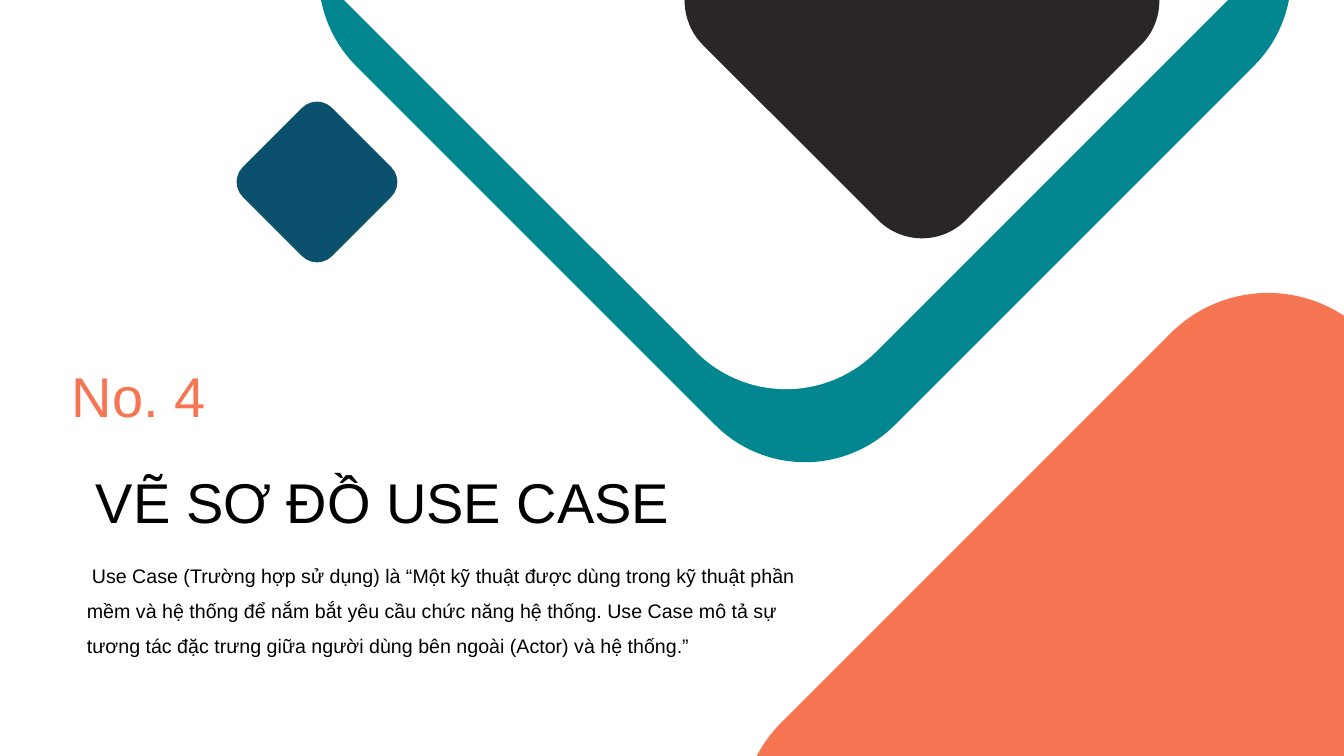
"""Build the section slide that introduces use case diagrams."""
from pptx import Presentation
from pptx import util as u
from pptx.dml.color import RGBColor
from pptx.enum import shapes, text

TEAL = RGBColor(0x02, 0x86, 0x8F)
ORANGE = RGBColor(0xF6, 0x76, 0x54)
WHITE = RGBColor(0xFF, 0xFF, 0xFF)
BLUE = RGBColor(0x0B, 0x50, 0x6C)
CHARCOAL = RGBColor(0x2A, 0x26, 0x25)
BLACK = RGBColor(0x00, 0x00, 0x00)

SLIDE_SIZE = (1344, 756)
FONT = "Arial"

# left, top, side, colour
BACK_DIAMONDS = [
    (424, -405, 762, TEAL),
    (855, 407, 826, ORANGE),
    (405, -478, 762, WHITE),
    (254, 119, 126, BLUE),
]
FRONT_DIAMONDS = [(736, -185, 372, CHARCOAL)]

# left, top, width, height, wording, points, colour, line spacing, first-line indent
TEXTS = [
    (77, 547, 740, 117,
     "Use Case (Trường hợp sử dụng) là “Một kỹ thuật được dùng trong kỹ thuật phần "
     "mềm và hệ thống để nắm bắt yêu cầu chức năng hệ thống. Use Case mô tả sự "
     "tương tác đặc trưng giữa người dùng bên ngoài (Actor) và hệ thống.”",
     14, BLACK, 1.5, 5),
    (86, 463, 598, 78, "VẼ SƠ ĐỒ USE CASE", 40, BLACK, 1.0, 0),
    (62, 357, 306, 78, "No. 4", 40, ORANGE, 1.0, 0),
]


def px(length):
    return u.Emu(round(length * 914400 / 100.8))


def add_diamond(page, left, top, side, colour):
    diamond = page.shapes.add_shape(
        shapes.MSO_SHAPE.ROUNDED_RECTANGLE, px(left), px(top), px(side), px(side))
    diamond.rotation = 45
    diamond.shadow.inherit = False
    diamond.fill.solid()
    diamond.fill.fore_color.rgb = colour
    diamond.line.fill.background()


def add_text(page, left, top, width, height, wording, points, colour, spacing, indent):
    box = page.shapes.add_textbox(px(left), px(top), px(width), px(height))
    frame = box.text_frame
    frame.word_wrap = True
    frame.auto_size = text.MSO_AUTO_SIZE.SHAPE_TO_FIT_TEXT
    frame.text = wording
    para = frame.paragraphs[0]
    para.line_spacing = spacing
    if indent:
        para._p.get_or_add_pPr().set("indent", str(px(indent)))
    span = para.runs[0]
    span.font.name = FONT
    span.font.size = u.Pt(points)
    span.font.color.rgb = colour


def main():
    deck = Presentation()
    deck.slide_width, deck.slide_height = map(px, SLIDE_SIZE)
    page = deck.slides.add_slide(deck.slide_layouts[6])
    for diamond in BACK_DIAMONDS:
        add_diamond(page, *diamond)
    for entry in TEXTS:
        add_text(page, *entry)
    for diamond in FRONT_DIAMONDS:
        add_diamond(page, *diamond)
    deck.save("out.pptx")


if __name__ == "__main__":
    main()
